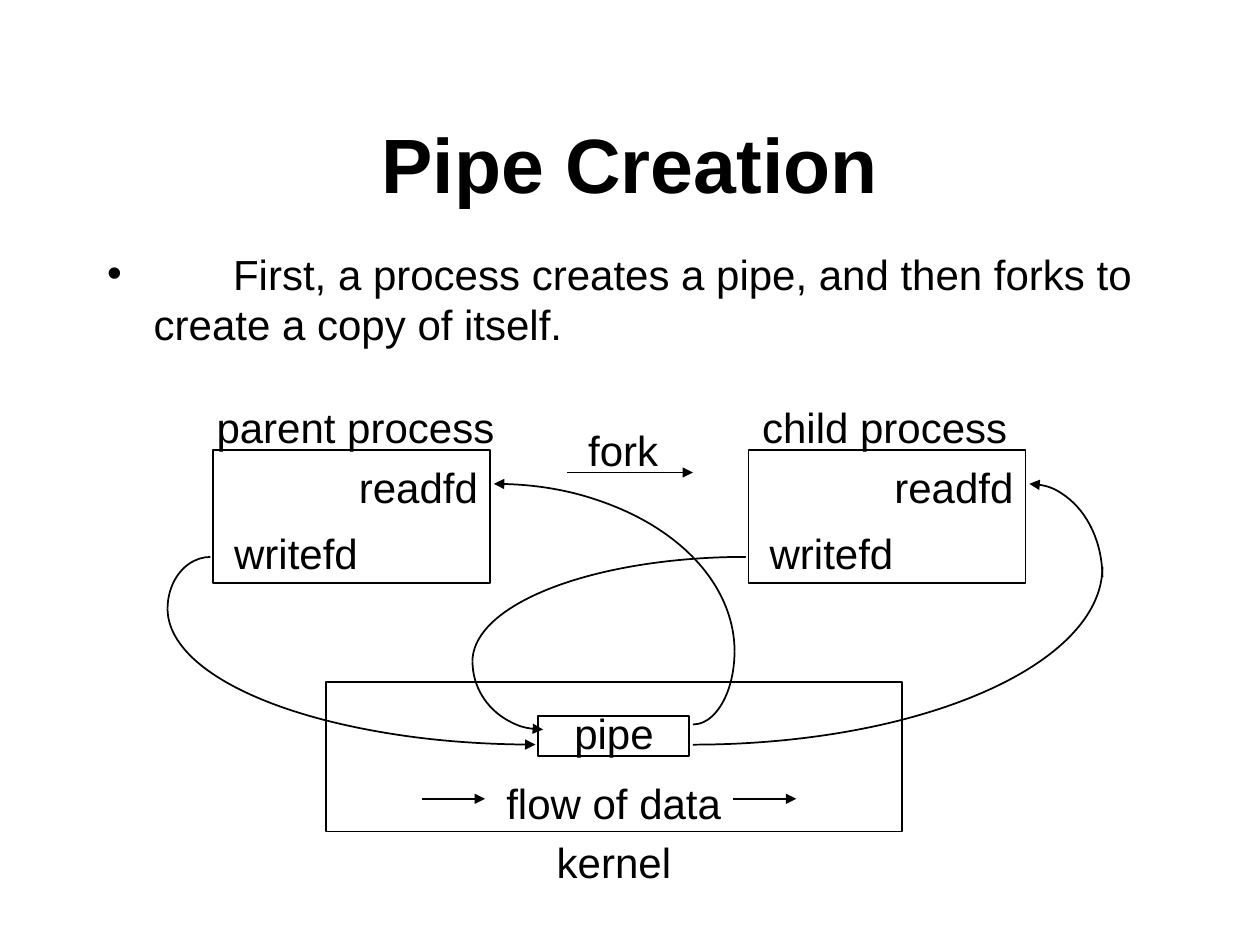
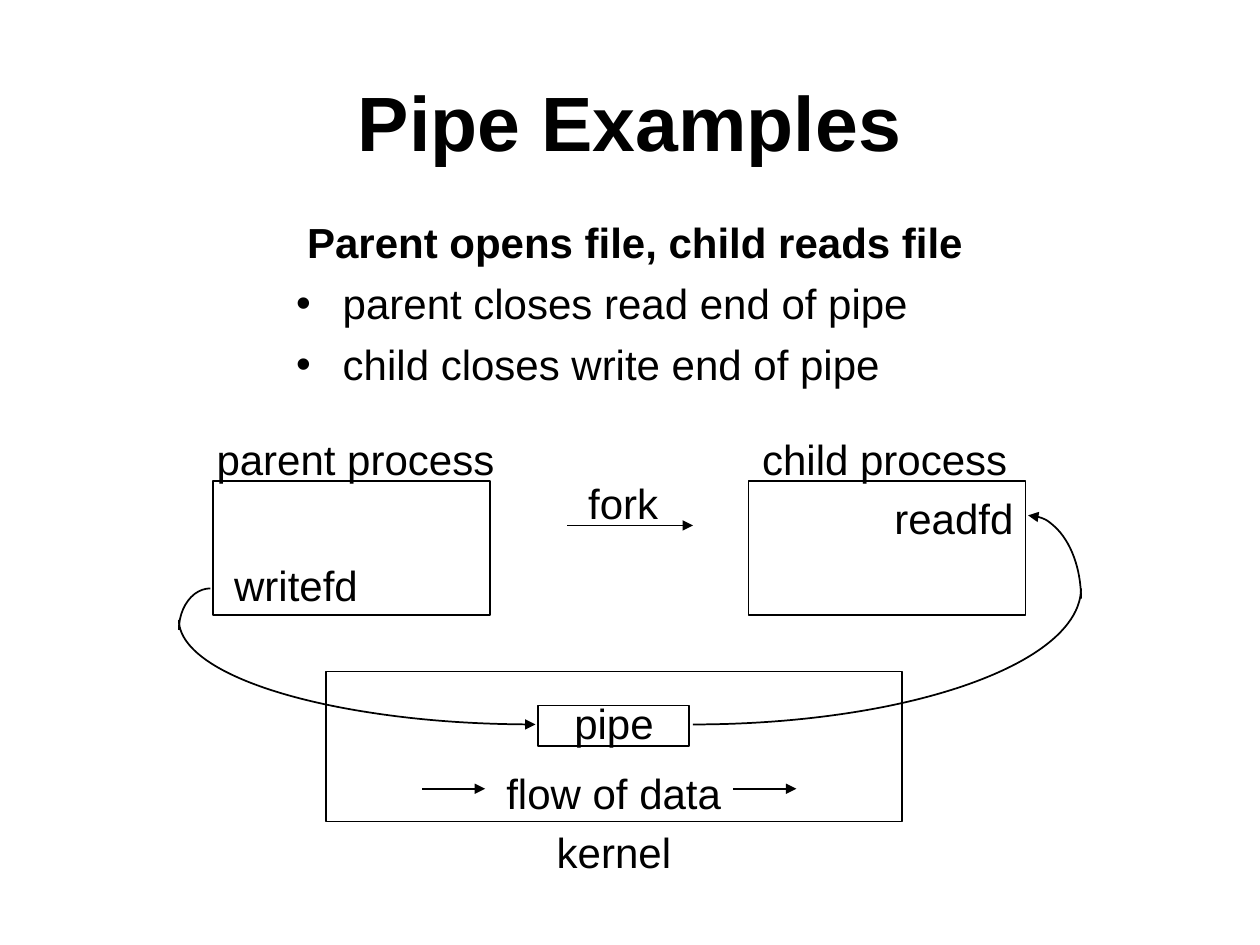
from lxml.etree import SubElement
from pptx import Presentation
from pptx.dml.color import RGBColor
from pptx.enum.shapes import MSO_CONNECTOR, MSO_SHAPE
from pptx.enum.text import MSO_ANCHOR, MSO_AUTO_SIZE, PP_ALIGN
from pptx.oxml.ns import qn
from pptx.util import Inches, Pt

BLACK = RGBColor(0, 0, 0)
WHITE = RGBColor(255, 255, 255)
FONT = "Arial"
TITLE_FORMAT = {"name": FONT, "size": Pt(44), "bold": True}
TEXT_FORMAT = {"name": FONT, "size": Pt(24), "bold": False}
HEADING_FORMAT = {**TEXT_FORMAT, "bold": True}
LINE_WIDTH = Pt(1)
INDENT = 0.37
LABEL_HEIGHT = 0.5
PROCESS_SIZE = (2.2, 1.06)

# Process boxes: left edge, caption (text, left, width), descriptor labels.
PROCESSES = {
    "parent": (1.69, ("parent process", 1.62, 2.41)),
    "child": (5.94, ("child process", 5.95, 2.15)),
}
# Descriptor labels: offset from the process box, width.
DESCRIPTORS = {"readfd": (1.06, 0.04, 1.15), "writefd": (0.07, 0.57, 1.18)}

# Kernel parts: positions are relative to the top of the kernel box.
KERNEL_BOXES = [(2.59, 0, 4.57, 1.19), (4.27, 0.27, 1.2, 0.32)]
KERNEL_LABELS = [
    ("pipe", 4.46, 0.16, 0.83),
    ("flow of data", 3.92, 0.71, 1.91),
    ("kernel", 4.32, 1.18, 1.11),
]
FLOW_ARROWS = [(3.35, 3.85), (5.82, 6.32)]
FLOW_TOP = 0.93

# Arcs are clockwise quarter ellipses: start, end, arrowhead at the start.
SLIDES = [
    {
        "title": "Pipe Creation",
        "title_box": (0.75, 0.67, 8.5, 1.25),
        "body_box": (0.75, 1.92, 8.5, 1.38),
        "heading": None,
        "bullets": ["\tFirst, a process creates a pipe, and then forks to "
                    "create a copy of itself."],
        "process_top": 3.57,
        "kernel_top": 5.41,
        "fork_top": 3.75,
        "descriptors": {"parent": ["readfd", "writefd"],
                        "child": ["readfd", "writefd"]},
        "arcs": [
            ((4.25, 5.91), (1.33, 4.83), True),
            ((1.33, 4.83), (1.67, 4.42), False),
            ((3.92, 3.84), (5.83, 5.17), True),
            ((5.83, 5.17), (5.5, 5.75), False),
            ((4.31, 5.79), (3.75, 5.25), True),
            ((3.75, 5.25), (5.92, 4.42), False),
            ((8.17, 3.84), (8.75, 4.58), True),
            ((8.75, 4.5), (5.5, 5.91), False),
        ],
    },
    {
        "title": "Pipe Examples",
        "title_box": (0.75, 0.33, 8.5, 1.25),
        "body_box": (2.25, 1.67, 5.58, 1.58),
        "heading": "Parent opens file, child reads file",
        "bullets": ["parent closes read end of pipe",
                    "child closes write end of pipe"],
        "process_top": 3.82,
        "kernel_top": 5.33,
        "fork_top": 4.17,
        "descriptors": {"parent": ["writefd"], "child": ["readfd"]},
        "arcs": [
            ((4.25, 5.75), (1.42, 4.92), True),
            ((1.42, 5), (1.67, 4.67), False),
            ((8.16, 4.09), (8.58, 4.75), True),
            ((8.58, 4.67), (5.5, 5.75), False),
        ],
    },
]


def write(paragraph, text, text_format):
    """Add one formatted black run to a paragraph."""
    run = paragraph.add_run()
    run.text = text
    for name, value in text_format.items():
        setattr(run.font, name, value)
    run.font.color.rgb = BLACK


def place(shape, box):
    """Move and size a placeholder."""
    for name, value in zip(("left", "top", "width", "height"), box):
        setattr(shape, name, Inches(value))
    shape.text_frame.auto_size = MSO_AUTO_SIZE.NONE


def format_list_item(paragraph, bullet):
    """Set spacing, hanging indent, bullet and tab stops of a body line."""
    paragraph.space_before = Pt(6)
    properties = paragraph._p.get_or_add_pPr()
    properties.set("marL", str(Inches(INDENT)))
    properties.set("indent", str(-Inches(INDENT)))
    if not bullet:
        paragraph.alignment = PP_ALIGN.CENTER
        SubElement(properties, qn("a:buNone"))
        return
    SubElement(properties, qn("a:buFont"), typeface=FONT)
    SubElement(properties, qn("a:buChar"), char="•")
    tabs = SubElement(properties, qn("a:tabLst"))
    for inch in range(1, 9):
        SubElement(tabs, qn("a:tab"), pos=str(Inches(inch)), algn="l")


def add_text(slide, content):
    """Fill the title and body placeholders."""
    title, body = slide.shapes.title, slide.placeholders[1]
    place(title, content["title_box"])
    title.text_frame.vertical_anchor = MSO_ANCHOR.MIDDLE
    title.text_frame.paragraphs[0].alignment = PP_ALIGN.CENTER
    write(title.text_frame.paragraphs[0], content["title"], TITLE_FORMAT)

    place(body, content["body_box"])
    lines = [(text, TEXT_FORMAT, True) for text in content["bullets"]]
    if content["heading"]:
        lines.insert(0, (content["heading"], HEADING_FORMAT, False))
    for index, (text, text_format, bullet) in enumerate(lines):
        frame = body.text_frame
        paragraph = frame.add_paragraph() if index else frame.paragraphs[0]
        format_list_item(paragraph, bullet)
        write(paragraph, text, text_format)


def add_label(slide, text, left, top, width):
    """Add a one-line label that does not wrap."""
    shape = slide.shapes.add_textbox(Inches(left), Inches(top),
                                     Inches(width), Inches(LABEL_HEIGHT))
    shape.text_frame.word_wrap = False
    shape.text_frame.auto_size = MSO_AUTO_SIZE.SHAPE_TO_FIT_TEXT
    write(shape.text_frame.paragraphs[0], text, TEXT_FORMAT)


def draw_line(shape, arrow_end=None):
    """Give a shape a thin black line, with an arrowhead if asked."""
    shape.line.color.rgb = BLACK
    shape.line.width = LINE_WIDTH
    if arrow_end:
        SubElement(shape.line._get_or_add_ln(), qn(arrow_end), type="triangle")


def add_outline(slide, kind, left, top, width, height, arrow_end=None):
    """Add an unfilled preset shape."""
    shape = slide.shapes.add_shape(kind, Inches(left), Inches(top),
                                   Inches(width), Inches(height))
    shape.shadow.inherit = False
    shape.fill.background()
    draw_line(shape, arrow_end)
    return shape


def add_arrow(slide, start, end, top):
    """Add a horizontal arrow."""
    connector = slide.shapes.add_connector(
        MSO_CONNECTOR.STRAIGHT, Inches(start), Inches(top),
        Inches(end), Inches(top))
    draw_line(connector, "a:tailEnd")
    SubElement(connector._element.spPr, qn("a:effectLst"))


def add_arc(slide, start, end, arrow):
    """Add the clockwise quarter ellipse from start to end."""
    across, down = end[0] - start[0], end[1] - start[1]
    angle = {(False, True): 0, (False, False): 90,
             (True, False): 180, (True, True): 270}[across > 0, down > 0]
    vertical_start = angle in (90, 270)
    center_x = start[0] if vertical_start else end[0]
    center_y = end[1] if vertical_start else start[1]
    radius_x, radius_y = abs(across), abs(down)
    shape = add_outline(slide, MSO_SHAPE.ARC, center_x - radius_x,
                        center_y - radius_y, 2 * radius_x, 2 * radius_y,
                        "a:headEnd" if arrow else None)
    # Arc adjustments count 60000 units a degree, scaled by 100000.
    shape.adjustments[0] = angle * 0.6
    shape.adjustments[1] = (angle + 90) % 360 * 0.6


def add_diagram(slide, content):
    """Draw the kernel, the two processes, the fork and the arcs."""
    kernel_top, process_top = content["kernel_top"], content["process_top"]
    for left, offset, width, height in KERNEL_BOXES:
        add_outline(slide, MSO_SHAPE.RECTANGLE, left, kernel_top + offset,
                    width, height)
    for text, left, offset, width in KERNEL_LABELS:
        add_label(slide, text, left, kernel_top + offset, width)
    for start, end in FLOW_ARROWS:
        add_arrow(slide, start, end, kernel_top + FLOW_TOP)

    for name, (left, (caption, caption_left, width)) in PROCESSES.items():
        add_outline(slide, MSO_SHAPE.RECTANGLE, left, process_top,
                    *PROCESS_SIZE)
        add_label(slide, caption, caption_left, process_top - 0.43, width)
        for descriptor in content["descriptors"][name]:
            across, down, label_width = DESCRIPTORS[descriptor]
            add_label(slide, descriptor, left + across, process_top + down,
                      label_width)

    add_label(slide, "fork", 4.57, content["fork_top"] - 0.43, 0.76)
    add_arrow(slide, 4.5, 5.5, content["fork_top"])
    for start, end, arrow in content["arcs"]:
        add_arc(slide, start, end, arrow)


def main():
    """Build and save the presentation."""
    presentation = Presentation()
    presentation.slide_width = Inches(10)
    presentation.slide_height = Inches(7.5)
    background = presentation.slide_master.background.fill
    background.solid()
    background.fore_color.rgb = WHITE
    for content in SLIDES:
        slide = presentation.slides.add_slide(presentation.slide_layouts[1])
        add_text(slide, content)
        add_diagram(slide, content)
    presentation.save("out.pptx")


main()
